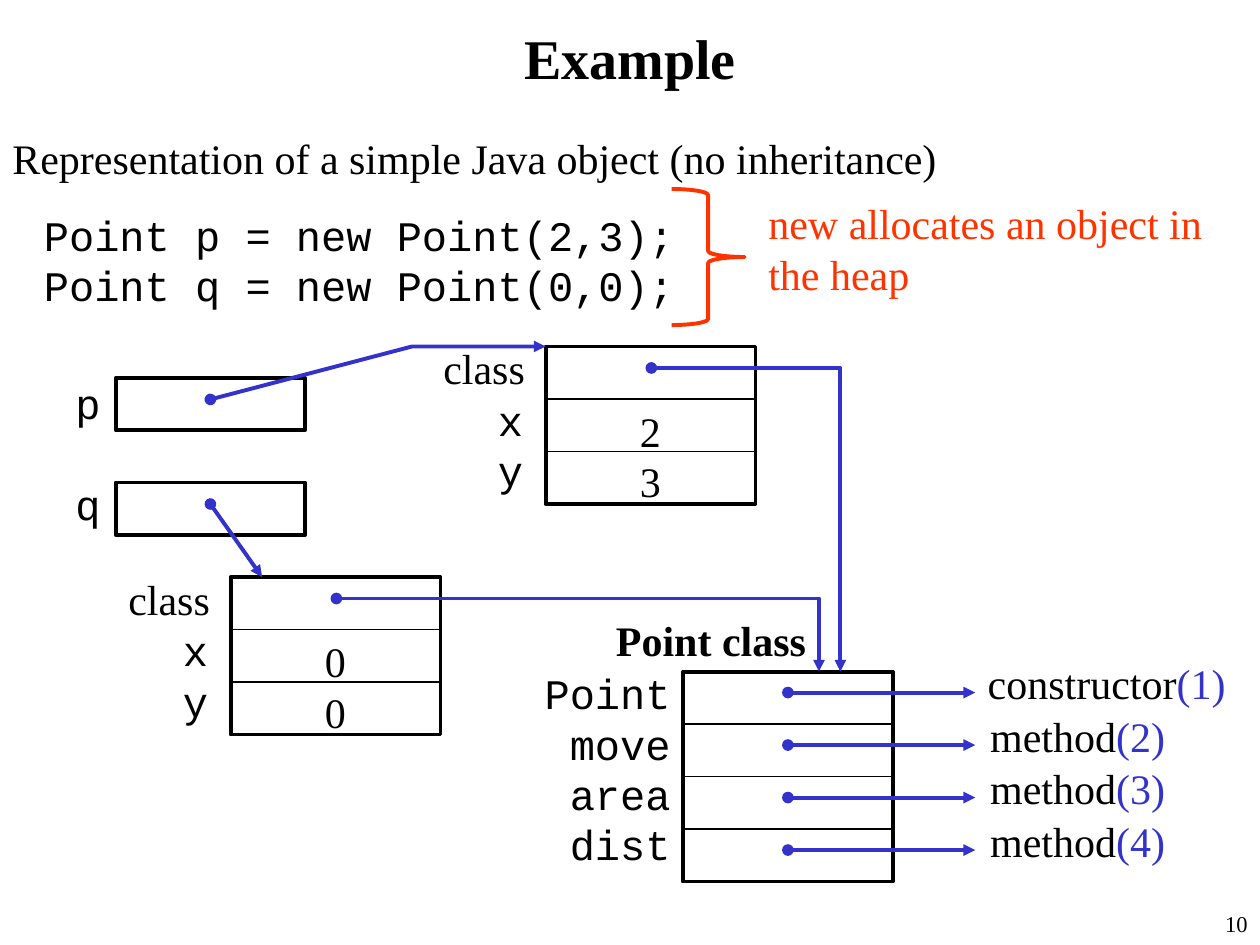
from dataclasses import dataclass

from lxml import etree
from pptx import Presentation
from pptx.dml.color import RGBColor
from pptx.enum.shapes import MSO_CONNECTOR, MSO_SHAPE
from pptx.enum.text import MSO_ANCHOR, PP_ALIGN
from pptx.oxml.ns import qn
from pptx.util import Inches, Pt

LEFT, MID, RIGHT = PP_ALIGN.LEFT, PP_ALIGN.CENTER, PP_ALIGN.RIGHT
RECT, BRACE = MSO_SHAPE.RECTANGLE, MSO_SHAPE.RIGHT_BRACE
LINE = MSO_CONNECTOR.STRAIGHT


@dataclass(frozen=True)
class Theme:
    ink: RGBColor = RGBColor(0, 0, 0)
    blue: RGBColor = RGBColor(0x33, 0x33, 0xCC)
    red: RGBColor = RGBColor(0xFF, 0x33, 0x00)
    serif: str = "Times New Roman"
    mono: str = "Courier New"
    title: float = 32
    body: float = 24
    small: float = 12.9
    thick: float = 2.25
    thin: float = 0.75


T = Theme()
ROW = 5 / 12  # height of one memory cell
WIDE = 5 / 3  # width of an object in the heap


def fill_text(frame, lines, size=T.body, font=T.serif, color=T.ink,
              bold=False, align=LEFT, wrap=False):
    """Each line is a string or a list of (text, color) runs."""
    frame.word_wrap = wrap
    for i, line in enumerate(lines):
        para = frame.paragraphs[0] if i == 0 else frame.add_paragraph()
        para.alignment = align
        runs = [(line, color)] if isinstance(line, str) else line
        for words, tint in runs:
            run = para.add_run()
            run.text = words
            run.font.size = Pt(size)
            run.font.name = font
            run.font.bold = bold
            run.font.color.rgb = tint


def add_text(slide, box, *lines, **style):
    shape = slide.shapes.add_textbox(*map(Inches, box))
    fill_text(shape.text_frame, lines, **style)


def set_line(shape, color, width):
    shape.line.color.rgb = color
    shape.line.width = Pt(width)


def outline(slide, kind, box, color=T.ink):
    shape = slide.shapes.add_shape(kind, *map(Inches, box))
    shape.shadow.inherit = False
    shape.fill.background()
    set_line(shape, color, T.thick)


def add_line(slide, start, end, color, width):
    line = slide.shapes.add_connector(LINE, *map(Inches, (*start, *end)))
    set_line(line, color, width)
    etree.SubElement(line._element.spPr, qn("a:effectLst"))
    return line


def pointer(slide, *points):
    """Blue arrow with a dot at its start, through all points."""
    if len(points) == 2:
        shape = add_line(slide, *points, T.blue, T.thick)
    else:
        spots = [(Inches(x), Inches(y)) for x, y in points]
        path = slide.shapes.build_freeform(*spots[0])
        path.add_line_segments(spots[1:], close=False)
        shape = path.convert_to_shape()
        shape.shadow.inherit = False
        shape.fill.background()
        set_line(shape, T.blue, T.thick)
    for tag, kind in (("a:headEnd", "oval"), ("a:tailEnd", "triangle")):
        etree.SubElement(shape.line._get_or_add_ln(), qn(tag), type=kind)


def cells(slide, x, y, count):
    """Box split into equal rows by thin lines."""
    outline(slide, RECT, (x, y, WIDE, count * ROW))
    for i in range(1, count):
        rule = y + i * ROW
        add_line(slide, (x, rule), (x + WIDE, rule), T.ink, T.thin)


def heading(slide):
    title = slide.shapes.title
    title.left, title.top = Inches(0.25), Inches(0.08)
    title.width, title.height = Inches(9.5), Inches(0.75)
    title.text_frame.vertical_anchor = MSO_ANCHOR.MIDDLE
    fill_text(title.text_frame, ["Example"], size=T.title, bold=True,
              align=MID, wrap=True)
    add_text(slide, (0, 1, 9.83, 0.5),
             "Representation of a simple Java object (no inheritance)",
             wrap=True)


def code(slide, x, y):
    add_text(slide, (x, y, 5.2, 0.9), "Point p = new Point(2,3);",
             "Point q = new Point(0,0);", font=T.mono)
    outline(slide, BRACE, (x + 5.08, y - 0.11, 0.58, 1.08), T.red)
    add_text(slide, (x + 5.75, y - 0.09, 3.77, 0.9),
             "new allocates an object in the heap", color=T.red, wrap=True)


def stack_var(slide, name, x, y, label_y):
    add_text(slide, (x - 0.42, label_y, 0.4, 0.5), name, font=T.mono)
    outline(slide, RECT, (x, y, 1.5, ROW))


def heap_obj(slide, x, y, values):
    cells(slide, x, y, 3)
    add_text(slide, (x - 0.91, y - 0.08, 0.85, 0.5), "class")
    add_text(slide, (x - 0.5, y + 0.33, 0.42, 0.9), "x", "y",
             font=T.mono, align=RIGHT, wrap=True)
    add_text(slide, (x + 0.65, y + ROW, 0.36, 0.9), *values)


def class_table(slide, x, y):
    names = ["Point", "move", "area", "dist"]
    add_text(slide, (x - 0.63, y - 0.5, 1.71, 0.5), "Point class", bold=True)
    add_text(slide, (x - 1.42, y - 0.08, 1.42, 1.7), *names,
             font=T.mono, align=RIGHT, wrap=True)
    cells(slide, x, y, len(names))
    for i in range(len(names)):
        mid = y + (i + 0.4) * ROW
        pointer(slide, (x + WIDE / 2, mid), (x + 2.32, mid))
        word, shift, width = (("method", 2.34, 1.59) if i
                              else ("constructor", 2.32, 2.09))
        add_text(slide, (x + shift, y - 0.16 + i * ROW, width, 0.5),
                 [(word, T.ink), (f"({i + 1})", T.blue)])


def main():
    deck = Presentation()
    deck.slide_width, deck.slide_height = Inches(10), Inches(7.5)
    slide = deck.slides.add_slide(deck.slide_layouts[5])

    heading(slide)
    code(slide, 0.25, 1.61)

    # Stack variables, heap objects and class table
    stack_var(slide, "p", 0.92, 3, 2.95)
    stack_var(slide, "q", 0.92, 3.83, 3.75)
    heap_obj(slide, 4.33, 2.75, "23")
    heap_obj(slide, 1.83, 4.58, "00")
    class_table(slide, 5.42, 5.33)

    # Pointers from variables to objects
    pointer(slide, (1.67, 3.17), (3.27, 2.75), (4.33, 2.75))
    pointer(slide, (1.67, 4), (2.08, 4.58))

    # Pointers from objects to their class
    pointer(slide, (5.17, 2.92), (6.67, 2.92), (6.67, 5.33))
    pointer(slide, (2.67, 4.75), (6.5, 4.75), (6.5, 5.33))

    add_text(slide, (9.25, 7.17, 0.75, 0.33), "10", size=T.small,
             align=RIGHT, wrap=True)
    deck.save("out.pptx")


if __name__ == "__main__":
    main()
